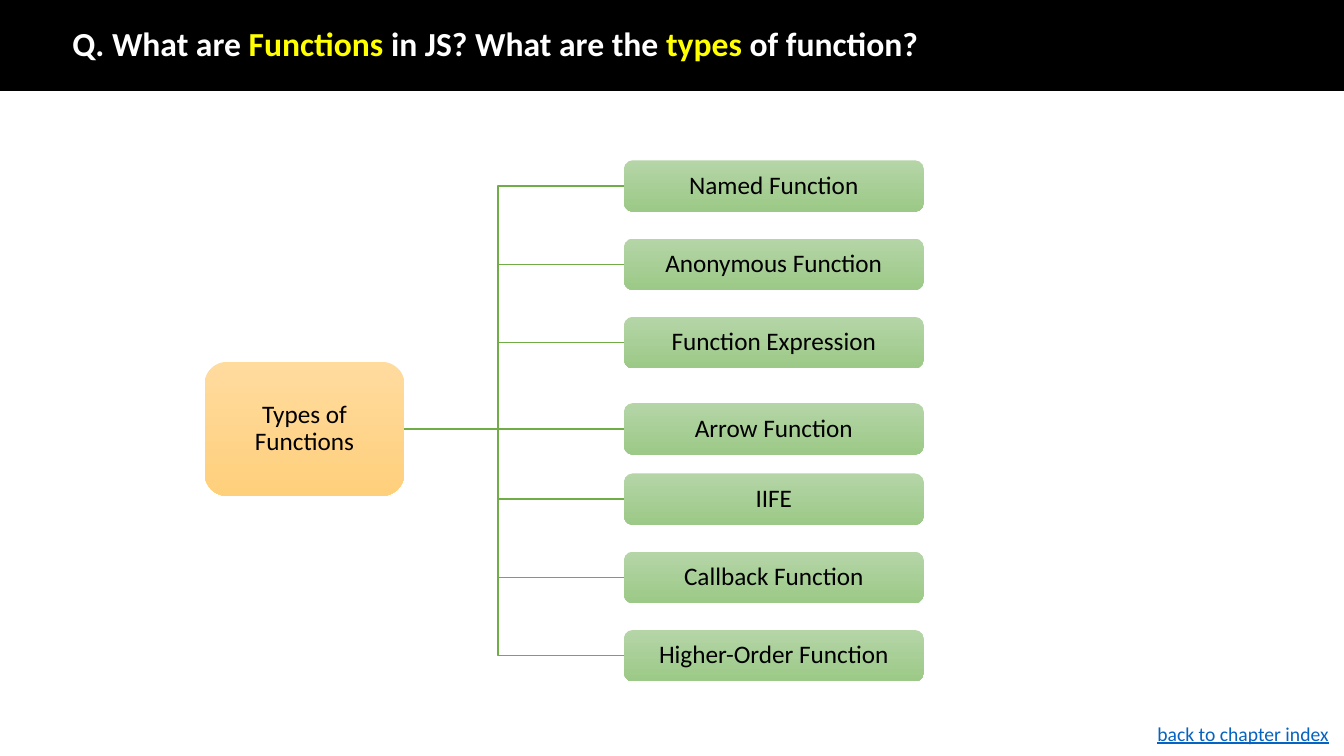
from typing import NamedTuple

from pptx import Presentation
from pptx.dml.color import RGBColor
from pptx.enum.shapes import MSO_SHAPE as Kind
from pptx.enum.text import MSO_ANCHOR as Anchor, PP_ALIGN as Align
from pptx.shapes.autoshape import Shape
from pptx.shapes.shapetree import SlideShapes as Shapes
from pptx.util import Inches, Pt

FONT = "Calibri"
BLACK = RGBColor(0x00, 0x00, 0x00)
WHITE = RGBColor(0xFF, 0xFF, 0xFF)
YELLOW = RGBColor(0xFF, 0xFF, 0x00)
GREEN = RGBColor(0x70, 0xAD, 0x47)
BLUE = RGBColor(0x05, 0x63, 0xC1)
PEACH = (RGBColor(0xFF, 0xDB, 0x9E), RGBColor(0xFF, 0xD0, 0x7C))
SAGE = (RGBColor(0xB5, 0xD5, 0xA7), RGBColor(0x9C, 0xC9, 0x87))


class Node(NamedTuple):
    text: str
    left: float
    top: float
    width: float
    height: float
    shades: tuple[RGBColor, RGBColor]

    @property
    def right(self) -> float:
        return self.left + self.width

    @property
    def middle(self) -> float:
        return self.top + self.height / 2


class Part(NamedTuple):
    text: str
    color: RGBColor


TITLE = [
    Part("Q. What are ", WHITE),
    Part("Functions", YELLOW),
    Part(" in JS? What are the ", WHITE),
    Part("types", YELLOW),
    Part(" of function?", WHITE),
]
TYPES = [
    "Named Function",
    "Anonymous Function",
    "Function Expression",
    "Arrow Function",
    "IIFE",
    "Callback Function",
    "Higher-Order Function",
]
FIRST, LAST = 1.59, 6.25
STEP = (LAST - FIRST) / (len(TYPES) - 1)
SHIFT = {"Arrow Function": 0.08}
ROOT = Node("Types of Functions", 2.03, 3.59, 1.98, 1.33, PEACH)
LEAVES = [
    Node(name, 6.19, FIRST + row * STEP + SHIFT.get(name, 0), 2.97, 0.51, SAGE)
    for row, name in enumerate(TYPES)
]
SPINE = 4.94


def add_node(shapes: Shapes, node: Node) -> None:
    box = shapes.add_shape(
        Kind.FLOWCHART_ALTERNATE_PROCESS,
        Inches(node.left), Inches(node.top),
        Inches(node.width), Inches(node.height),
    )
    box.shadow.inherit = False
    box.line.fill.background()
    box.fill.gradient()
    box.fill.gradient_angle = 270
    for stop, shade in zip(box.fill.gradient_stops, node.shades):
        stop.color.rgb = shade
    frame = box.text_frame
    frame.word_wrap = True
    frame.vertical_anchor = Anchor.MIDDLE
    frame.margin_left = frame.margin_right = Inches(0.01)
    frame.margin_top = frame.margin_bottom = Inches(0.01)
    para = frame.paragraphs[0]
    para.text = node.text
    para.alignment = Align.CENTER
    para.line_spacing = 0.9
    para.font.name = FONT
    para.font.size = Pt(18)
    para.font.color.rgb = BLACK


def add_branch(shapes: Shapes, root: Node, leaf: Node) -> None:
    pen = shapes.build_freeform(Inches(root.right), Inches(root.middle))
    bends = [(SPINE, root.middle), (SPINE, leaf.middle), (leaf.left, leaf.middle)]
    pen.add_line_segments([(Inches(x), Inches(y)) for x, y in bends], close=False)
    branch = pen.convert_to_shape()
    branch.shadow.inherit = False
    branch.fill.background()
    branch.line.color.rgb = GREEN
    branch.line.width = Pt(1)


def add_bar(shapes: Shapes) -> Shape:
    bar = shapes.add_shape(
        Kind.RECTANGLE, 0, Inches(-0.01), Inches(13.33), Inches(0.91)
    )
    bar.shadow.inherit = False
    bar.fill.solid()
    bar.fill.fore_color.rgb = BLACK
    bar.line.color.rgb = BLACK
    bar.line.width = Pt(1)
    return bar


def add_title(shapes: Shapes) -> None:
    box = shapes.add_textbox(Inches(0.62), Inches(0.28), Inches(11.5), Inches(0.35))
    frame = box.text_frame
    frame.word_wrap = True
    frame.vertical_anchor = Anchor.MIDDLE
    para = frame.paragraphs[0]
    para.line_spacing = 0.9
    para.font.name = FONT
    para.font.size = Pt(24)
    para.font.bold = True
    for part in TITLE:
        run = para.add_run()
        run.text = part.text
        run.font.color.rgb = part.color


def add_footer(shapes: Shapes) -> None:
    box = shapes.add_textbox(Inches(11.38), Inches(7.11), Inches(1.95), Inches(0.34))
    box.text_frame.word_wrap = True
    para = box.text_frame.paragraphs[0]
    para.text = "back to chapter index"
    para.font.name = FONT
    para.font.size = Pt(14)
    para.font.underline = True
    para.font.color.rgb = BLUE


def main() -> None:
    deck = Presentation()
    deck.slide_width = Inches(13.33)
    deck.slide_height = Inches(7.5)
    shapes = deck.slides.add_slide(deck.slide_layouts[6]).shapes
    add_bar(shapes)
    add_title(shapes)
    for leaf in reversed(LEAVES):
        add_branch(shapes, ROOT, leaf)
    for node in [ROOT, *LEAVES]:
        add_node(shapes, node)
    add_footer(shapes)
    deck.save("out.pptx")


if __name__ == "__main__":
    main()
